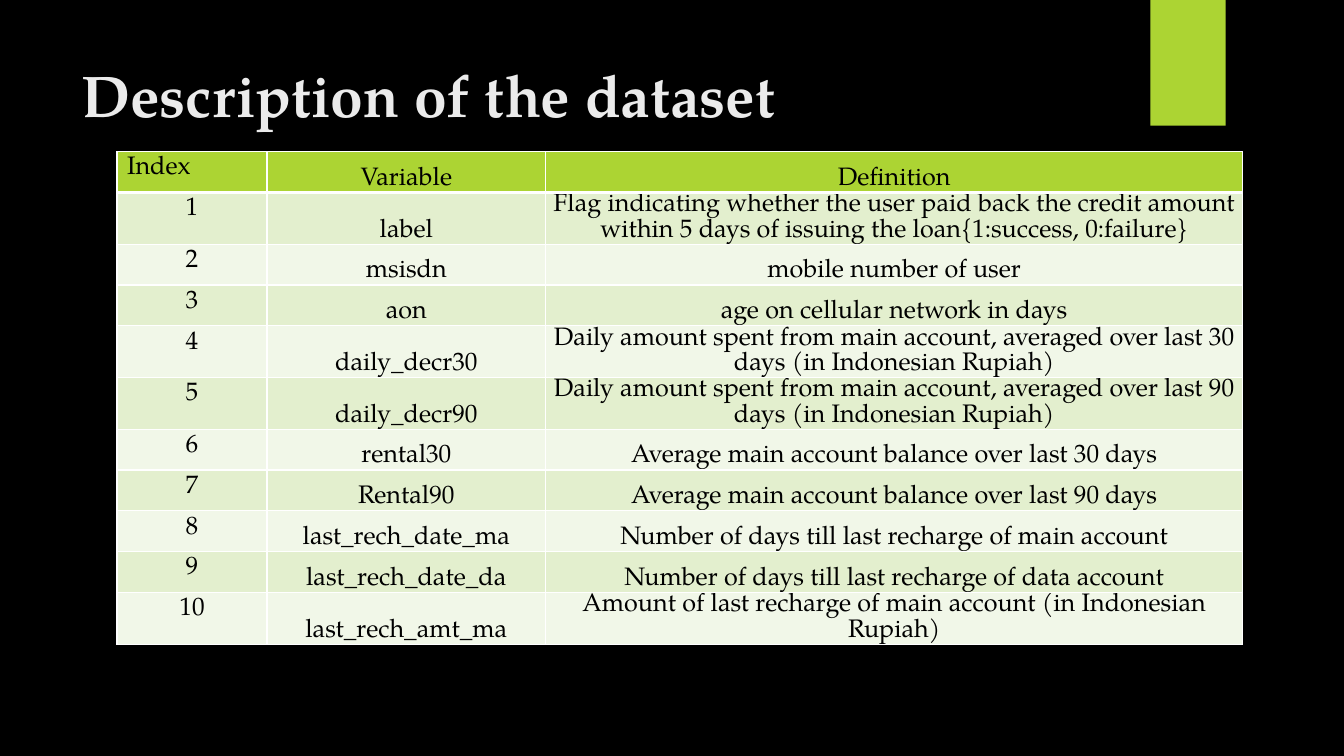
import lxml.etree
import pptx
import pptx.dml.color
import pptx.enum.shapes
import pptx.enum.text
import pptx.oxml.ns
import pptx.util

Cm = pptx.util.Cm
Pt = pptx.util.Pt
ALIGN = pptx.enum.text.PP_ALIGN
ANCHOR = pptx.enum.text.MSO_ANCHOR

COLORS = {
    "background": "000000",
    "accent": "ACD433",
    "title": "EBEBEB",
    "text": "000000",
    "border": "FFFFFF",
    "odd": "E3EFCE",
    "even": "F1F7E8",
}

HEADER = ("Index", "Variable", "Definition")
VARIABLES = [
    ("label", "Flag indicating whether the user paid back the credit amount "
              "within 5 days of issuing the loan{1:success, 0:failure}"),
    ("msisdn", "mobile number of user"),
    ("aon", "age on cellular network in days"),
    ("daily_decr30", "Daily amount spent from main account, averaged over last 30 days (in Indonesian Rupiah)"),
    ("daily_decr90", "Daily amount spent from main account, averaged over last 90 days (in Indonesian Rupiah)"),
    ("rental30", "Average main account balance over last 30 days"),
    ("Rental90", "Average main account balance over last 90 days"),
    ("last_rech_date_ma", "Number of days till last recharge of main account"),
    ("last_rech_date_da", "Number of days till last recharge of data account"),
    ("last_rech_amt_ma", "Amount of last recharge of main account (in Indonesian Rupiah)"),
]


def rgb(name):
    return pptx.dml.color.RGBColor.from_string(COLORS[name])


def set_attrs(obj, values):
    for name, value in values.items():
        setattr(obj, name, value)


class SlideBuilder:
    font_name = "TeX Gyre Pagella"

    def __init__(self, prs):
        self.slide = prs.slides.add_slide(prs.slide_layouts[5])

    def background(self, color):
        fill = self.slide.background.fill
        fill.solid()
        fill.fore_color.rgb = rgb(color)

    def add_text(self, tf, text, color, font, paragraph):
        p = tf.paragraphs[0]
        set_attrs(p, paragraph)
        r = p.add_run()
        r.text = text
        set_attrs(r.font, {"name": self.font_name, **font})
        r.font.color.rgb = rgb(color)

    def title(self, text, left, top, width, height):
        sp = self.slide.shapes.title
        set_attrs(sp, {"left": left, "top": top, "width": width, "height": height})
        tf = sp.text_frame
        set_attrs(tf, {"word_wrap": True, "vertical_anchor": ANCHOR.TOP,
                       "auto_size": pptx.enum.text.MSO_AUTO_SIZE.NONE})
        self.add_text(tf, text, "title", {"size": Pt(42), "bold": True},
                      {"alignment": ALIGN.LEFT, "line_spacing": Pt(53)})

    def rectangle(self, color, left, top, width, height):
        sp = self.slide.shapes.add_shape(
            pptx.enum.shapes.MSO_SHAPE.RECTANGLE, left, top, width, height)
        sp.shadow.inherit = False
        sp.fill.solid()
        sp.fill.fore_color.rgb = rgb(color)
        sp.line.fill.background()

    def borders(self, cell, widths):
        """Draw cell borders; widths maps the sides L, R, T, B, in that order, to points."""
        tc_pr = cell._tc.get_or_add_tcPr()
        qn = pptx.oxml.ns.qn
        for side, width in widths.items():
            ln = lxml.etree.SubElement(tc_pr, qn(f"a:ln{side}"), w=str(Pt(width)))
            fill = lxml.etree.SubElement(ln, qn("a:solidFill"))
            lxml.etree.SubElement(fill, qn("a:srgbClr"), val=COLORS["border"])

    def table(self, rows, left, top, col_widths, row_height):
        """Add a table with a header row, striped body and an index column."""
        frame = self.slide.shapes.add_table(
            len(rows), len(col_widths), left, top, sum(col_widths), row_height * len(rows))
        table = frame.table
        for column, width in zip(table.columns, col_widths):
            column.width = width
        for i, texts in enumerate(rows):
            table.rows[i].height = row_height
            color = "accent" if i == 0 else "odd" if i % 2 else "even"
            for j, text in enumerate(texts):
                cell = table.cell(i, j)
                self.borders(cell, {"L": 1, "R": 1, "T": 3 if i == 1 else 1, "B": 3 if i == 0 else 1})
                cell.fill.solid()
                cell.fill.fore_color.rgb = rgb(color)
                if j > 0:
                    edge = Cm(0.03)
                    set_attrs(cell, {"vertical_anchor": ANCHOR.BOTTOM, "margin_left": edge,
                                     "margin_right": edge, "margin_top": edge, "margin_bottom": 0})
                align = ALIGN.LEFT if i == j == 0 else ALIGN.CENTER
                self.add_text(cell.text_frame, text, "text", {"size": Pt(18), "bold": False},
                              {"alignment": align, "line_spacing": Pt(18)})


def main():
    prs = pptx.Presentation()
    set_attrs(prs, {"slide_width": Cm(33.87), "slide_height": Cm(19.05)})
    s = SlideBuilder(prs)
    s.background("background")
    s.rectangle("accent", Cm(28.99), 0, Cm(1.9), Cm(3.17))
    s.title("Description of the dataset", Cm(1.8), Cm(1.27), Cm(26.1), Cm(3.88))
    rows = [HEADER] + [(str(n), *variable) for n, variable in enumerate(VARIABLES, 1)]
    s.table(rows, Cm(2.95), Cm(3.82), [Cm(3.78), Cm(7.02), Cm(17.57)], Cm(1.03))
    prs.save("out.pptx")


if __name__ == "__main__":
    main()
